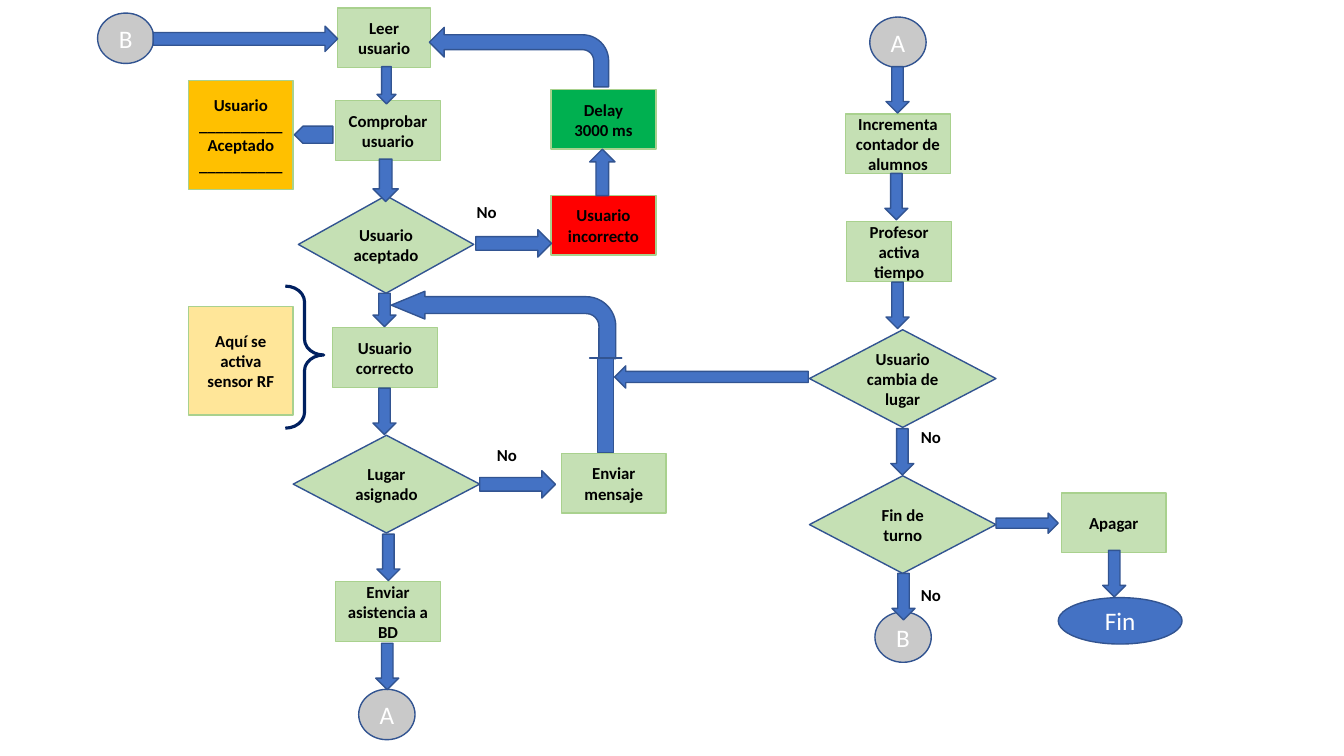
"""Draws the flowchart of the classroom attendance system."""
from dataclasses import dataclass

from pptx import Presentation
from pptx.dml.color import RGBColor
from pptx.enum.shapes import MSO_SHAPE as Preset
from pptx.enum.text import MSO_ANCHOR as Anchor, PP_ALIGN as Align
from pptx.util import Cm, Pt

GREEN, LEAF, BLUE, NAVY, GREY = "C5E0B4", "A9D18E", "4472C4", "325491", "C9C9C9"
STEP_FONT = {"name": "Calibri", "size": Pt(12), "bold": True}
MARK_FONT = {"name": "Calibri", "size": Pt(18), "bold": False}


@dataclass
class Kind:
    """Look shared by all the nodes of one kind; lengths in cm."""
    preset: Preset
    width: float
    height: float
    line: str
    font: dict
    ink: str


@dataclass
class Node:
    """One flowchart node; its width replaces that of its kind."""
    kind: Kind
    text: str
    left: float
    top: float
    fill: str = GREEN
    width: float | None = None


@dataclass
class Arrow:
    """One block arrow; the default size is that of a short step down."""
    left: float
    top: float
    width: float = 0.58
    height: float = 1.17
    preset: Preset = Preset.DOWN_ARROW
    flipped: bool = False
    adjustments: tuple[float, ...] = ()


@dataclass
class Label:
    """Name of a branch that leaves a decision."""
    text: str
    left: float
    top: float
    width: float = 1.19


STEP = Kind(Preset.RECTANGLE, 2.64, 1.5, LEAF, STEP_FONT, "000000")
PANEL = Kind(Preset.RECTANGLE, 2.64, 2.74, LEAF, STEP_FONT, "000000")
DECISION = Kind(Preset.FLOWCHART_DECISION, 4.7, 2.46, NAVY, STEP_FONT, "000000")
CONNECTOR = Kind(Preset.OVAL, 1.42, 1.27, NAVY, MARK_FONT, "FFFFFF")
TERMINAL = Kind(Preset.OVAL, 3.12, 1.17, NAVY, MARK_FONT, "FFFFFF")

NODES = [
    Node(CONNECTOR, "B", 2.46, 0.33, GREY),
    Node(STEP, "Leer usuario", 8.51, 0.2, width=2.34),
    Node(STEP, "Comprobar usuario", 8.46, 2.54),
    Node(PANEL, "Usuario\n__________\nAceptado\n__________", 4.75, 2.03, "FFC000"),
    Node(DECISION, "Usuario\naceptado", 7.52, 4.93, width=4.42),
    Node(STEP, "Usuario\nincorrecto", 13.89, 4.93, "FF0000"),
    Node(STEP, "Delay\n3000 ms", 13.89, 2.26, "00B050"),
    Node(STEP, "Usuario\ncorrecto", 8.38, 8.26),
    Node(PANEL, "Aquí se activa sensor RF", 4.75, 7.72, "FFE699"),
    Node(DECISION, "Lugar asignado", 7.39, 10.97),
    Node(STEP, "Enviar mensaje", 14.15, 11.43),
    Node(STEP, "Enviar asistencia a BD", 8.46, 14.66),
    Node(CONNECTOR, "A", 9.04, 17.37, GREY),
    Node(CONNECTOR, "A", 21.92, 0.43, GREY),
    Node(STEP, "Incrementa contador de alumnos", 21.31, 2.87),
    Node(STEP, "Profesor activa tiempo", 21.34, 5.59),
    Node(DECISION, "Usuario cambia de lugar", 20.4, 8.31),
    Node(DECISION, "Fin de turno", 20.4, 11.99),
    Node(CONNECTOR, "B", 22.05, 15.42, GREY),
    Node(STEP, "Apagar", 26.75, 12.42),
    Node(TERMINAL, "Fin", 26.67, 15.06, BLUE),
]

ARROWS = [
    Arrow(9.5, 1.68, 0.48, 0.94),
    Arrow(9.4, 4.01, 0.64, 1.07),
    Arrow(9.4, 7.39, height=0.84),
    Arrow(9.4, 9.78),
    Arrow(9.5, 13.46),
    Arrow(9.47, 16.21),
    Arrow(22.33, 1.68),
    Arrow(22.3, 4.37),
    Arrow(22.33, 7.11),
    Arrow(22.45, 10.8),
    Arrow(22.48, 14.45),
    Arrow(27.79, 13.87),
    Arrow(3.86, 0.66, 4.65, 0.64, Preset.RIGHT_ARROW),
    Arrow(11.99, 5.79, 1.91, 0.69, Preset.RIGHT_ARROW),
    Arrow(12.09, 11.86, 1.91, 0.69, Preset.RIGHT_ARROW),
    Arrow(25.1, 12.93, 1.57, 0.51, Preset.RIGHT_ARROW),
    Arrow(14.86, 3.76, 0.64, 1.17, Preset.UP_ARROW),
    Arrow(7.42, 3.18, 0.97, 0.43, Preset.PENTAGON, True),
    Arrow(10.82, 0.69, 4.52, 1.5, Preset.BENT_ARROW, True),
    Arrow(9.86, 7.34, 5.66, 1.7, Preset.BENT_ARROW, True, (0.25, 0.206, 0.5, 0.438)),
    Arrow(14.86, 9.02, 0.81, 2.39, Preset.UP_ARROW, adjustments=(0.5, 0)),
    Arrow(15.49, 9.22, 4.88, 0.56, Preset.LEFT_ARROW),
]

LABELS = [
    Label("No", 11.76, 4.95, 1.5),
    Label("No", 12.27, 11.07),
    Label("No", 22.96, 10.62),
    Label("No", 22.96, 14.61),
]


def color(value: str) -> RGBColor:
    """Turns a hex string into a colour."""
    return RGBColor.from_string(value)


def add_outline(shapes, preset, box, fill, line, weight=1.0, adjustments=()):
    """Adds a preset shape, unfilled when fill is None; box is in cm."""
    outline = shapes.add_shape(preset, *map(Cm, box))
    outline.shadow.inherit = False
    if fill:
        outline.fill.solid()
        outline.fill.fore_color.rgb = color(fill)
    else:
        outline.fill.background()
    outline.line.color.rgb = color(line)
    outline.line.width = Pt(weight)
    for index, value in enumerate(adjustments):
        outline.adjustments[index] = value
    return outline


def write(frame, text: str, font: dict, ink: str, align: Align) -> None:
    """Fills a text frame, one paragraph for each line."""
    frame.text = text
    frame.word_wrap = True
    for paragraph in frame.paragraphs:
        paragraph.alignment = align
        for run in paragraph.runs:
            for key, value in font.items():
                setattr(run.font, key, value)
            run.font.color.rgb = color(ink)


def draw_node(shapes, node: Node) -> None:
    """Draws a node with its text in the middle."""
    kind = node.kind
    box = (node.left, node.top, node.width or kind.width, kind.height)
    frame = add_outline(shapes, kind.preset, box, node.fill, kind.line).text_frame
    frame.vertical_anchor = Anchor.MIDDLE
    write(frame, node.text, kind.font, kind.ink, Align.CENTER)


def draw_arrow(shapes, arrow: Arrow) -> None:
    """Draws a block arrow, mirrored when it is flipped."""
    box = (arrow.left, arrow.top, arrow.width, arrow.height)
    block = add_outline(shapes, arrow.preset, box, BLUE, NAVY,
                        adjustments=arrow.adjustments)
    if arrow.flipped:
        block._element.spPr.xfrm.set("flipH", "1")


def draw_label(shapes, label: Label) -> None:
    """Writes the name of a branch."""
    branch = shapes.add_textbox(*map(Cm, (label.left, label.top, label.width, 0.76)))
    write(branch.text_frame, label.text, STEP_FONT, "000000", Align.LEFT)


def main() -> None:
    """Builds and saves the slide."""
    deck = Presentation()
    deck.slide_width, deck.slide_height = Cm(33.87), Cm(19.05)
    shapes = deck.slides.add_slide(deck.slide_layouts[6]).shapes
    for draw, parts in ((draw_node, NODES), (draw_arrow, ARROWS), (draw_label, LABELS)):
        for part in parts:
            draw(shapes, part)
    add_outline(shapes, Preset.RIGHT_BRACE, (7.19, 7.21, 0.97, 3.58), None, "002060",
                2.25, (0.408, 0.485))
    deck.save("out.pptx")


main()
